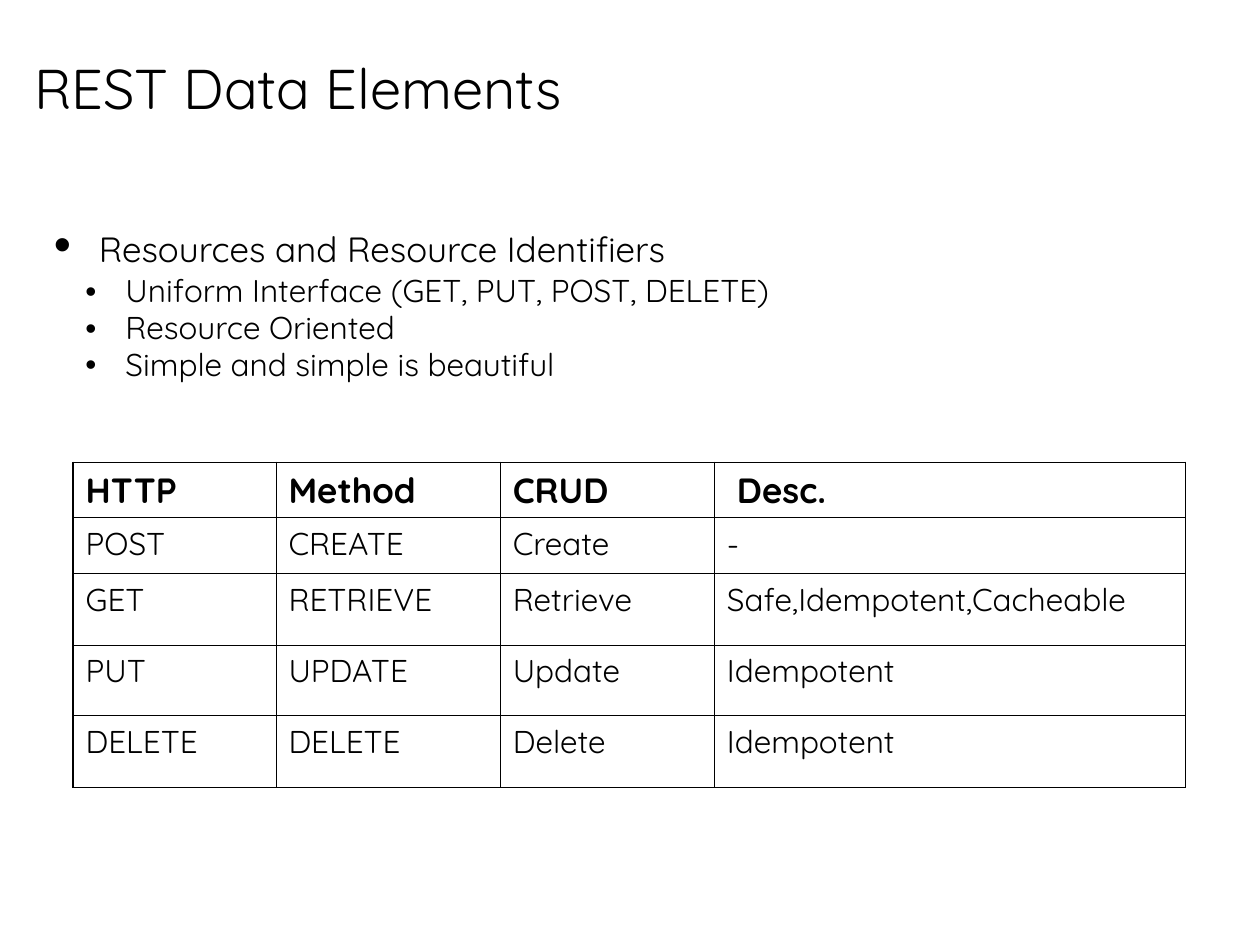
from lxml.etree import SubElement
from pptx import Presentation
from pptx.dml.color import RGBColor
from pptx.enum.text import MSO_ANCHOR, MSO_AUTO_SIZE, PP_ALIGN
from pptx.oxml import parse_xml
from pptx.oxml.ns import nsdecls, qn
from pptx.util import Inches, Pt

BLACK = RGBColor(0, 0, 0)
FONT = "Quicksand"
OUTER_LINE, INNER_LINE = Pt(1.08), Pt(0.45)

TITLE = "REST Data Elements"
# Each bullet: level, then its (text, size) runs
BULLETS = [
    (0, [(" ", 28), ("Resources and Resource Identifiers", 20)]),
    (1, [(" Uniform Interface (GET, PUT, POST, DELETE)", 18)]),
    (1, [(" Resource Oriented", 18)]),
    (1, [(" Simple and simple is beautiful", 18)]),
]
METHODS = [
    ("HTTP", "Method", "CRUD", " Desc."),
    ("POST", "CREATE", "Create", "-"),
    ("GET", "RETRIEVE", "Retrieve", "Safe,Idempotent,Cacheable"),
    ("PUT", "UPDATE", "Update", "Idempotent"),
    ("DELETE", "DELETE", "Delete", "Idempotent"),
]
COLUMN_WIDTHS = [1.61, 1.78, 1.7, 3.74]
ROW_HEIGHTS = [0.44, 0.44, 0.57, 0.56, 0.57]


def add_span(para, text, size, bold=False):
    span = para.add_run()
    span.text = text
    span.font.name = FONT
    span.font.size = Pt(size)
    span.font.bold = bold
    span.font.color.rgb = BLACK


def add_bullet(para, level):
    """Hang a round bullet a quarter inch before the text."""
    para.level = level
    properties = para._p.get_or_add_pPr()
    properties.set("marL", str(Inches(0.25 * (level + 1))))
    properties.set("indent", str(Inches(-0.25)))
    color = SubElement(properties, qn("a:buClr"))
    SubElement(color, qn("a:srgbClr"), val=str(BLACK))
    SubElement(properties, qn("a:buFont"), typeface="Arial")
    SubElement(properties, qn("a:buChar"), char="•")


def set_borders(cell, row, column):
    """Draw the table's outline heavier than its inner grid."""
    on_edge = {
        "L": column == 0,
        "R": column == len(COLUMN_WIDTHS) - 1,
        "T": row == 0,
        "B": row == len(ROW_HEIGHTS) - 1,
    }
    properties = cell._tc.get_or_add_tcPr()
    for position, (side, outer) in enumerate(on_edge.items()):
        width = OUTER_LINE if outer else INNER_LINE
        properties.insert(position, parse_xml(
            f'<a:ln{side} {nsdecls("a")} w="{int(width)}"><a:solidFill>'
            f'<a:srgbClr val="{BLACK}"/></a:solidFill></a:ln{side}>'))


deck = Presentation()
deck.slide_width, deck.slide_height = Inches(10), Inches(7.5)
page = deck.slides.add_slide(deck.slide_layouts[5])

title = page.shapes.title
title.left, title.top = Inches(0.17), Inches(0.3)
title.width, title.height = Inches(7.42), Inches(0.78)
title.text_frame.auto_size = MSO_AUTO_SIZE.NONE
title.text_frame.vertical_anchor = MSO_ANCHOR.MIDDLE
title_para = title.text_frame.paragraphs[0]
title_para.alignment = PP_ALIGN.LEFT
add_span(title_para, TITLE, 32)

box = page.shapes.add_textbox(Inches(0.33), Inches(1.67), Inches(9.33), Inches(1.81))
frame = box.text_frame
frame.word_wrap = True
for index, (level, spans) in enumerate(BULLETS):
    para = frame.add_paragraph() if index else frame.paragraphs[0]
    add_bullet(para, level)
    para.line_spacing = 0.97
    for text, size in spans:
        add_span(para, text, size)

table = page.shapes.add_table(
    len(METHODS), len(COLUMN_WIDTHS), Inches(0.58), Inches(3.67),
    Inches(sum(COLUMN_WIDTHS)), Inches(sum(ROW_HEIGHTS))).table
table.first_row = table.horz_banding = False
for column, width in zip(table.columns, COLUMN_WIDTHS):
    column.width = Inches(width)
for row, height in zip(table.rows, ROW_HEIGHTS):
    row.height = Inches(height)

for row, values in enumerate(METHODS):
    size = 18 if row else 20
    for column, value in enumerate(values):
        cell = table.cell(row, column)
        cell.fill.background()
        set_borders(cell, row, column)
        para = cell.text_frame.paragraphs[0]
        para.space_before = Pt(size / 4)
        add_span(para, value, size, bold=row == 0)

deck.save("out.pptx")
